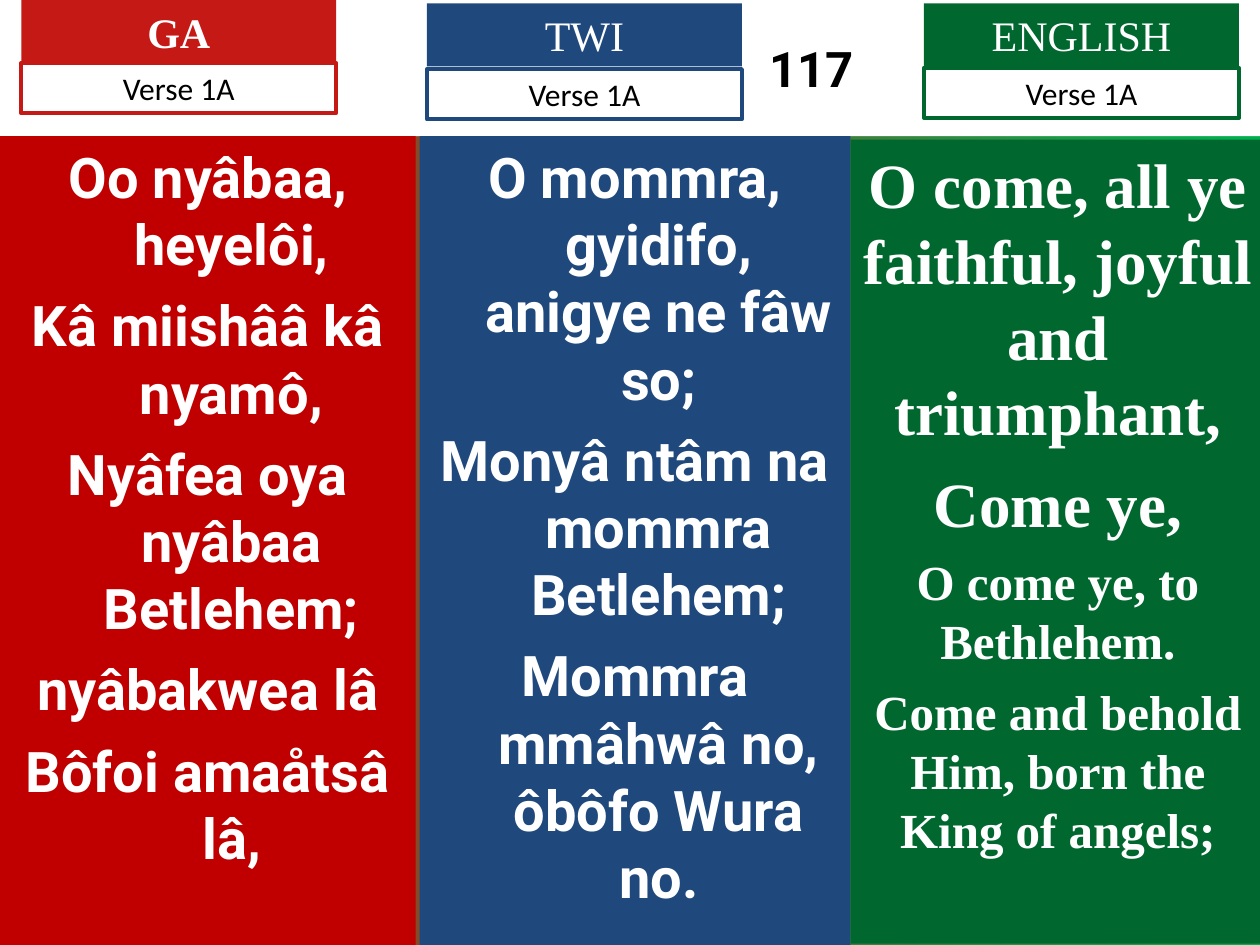
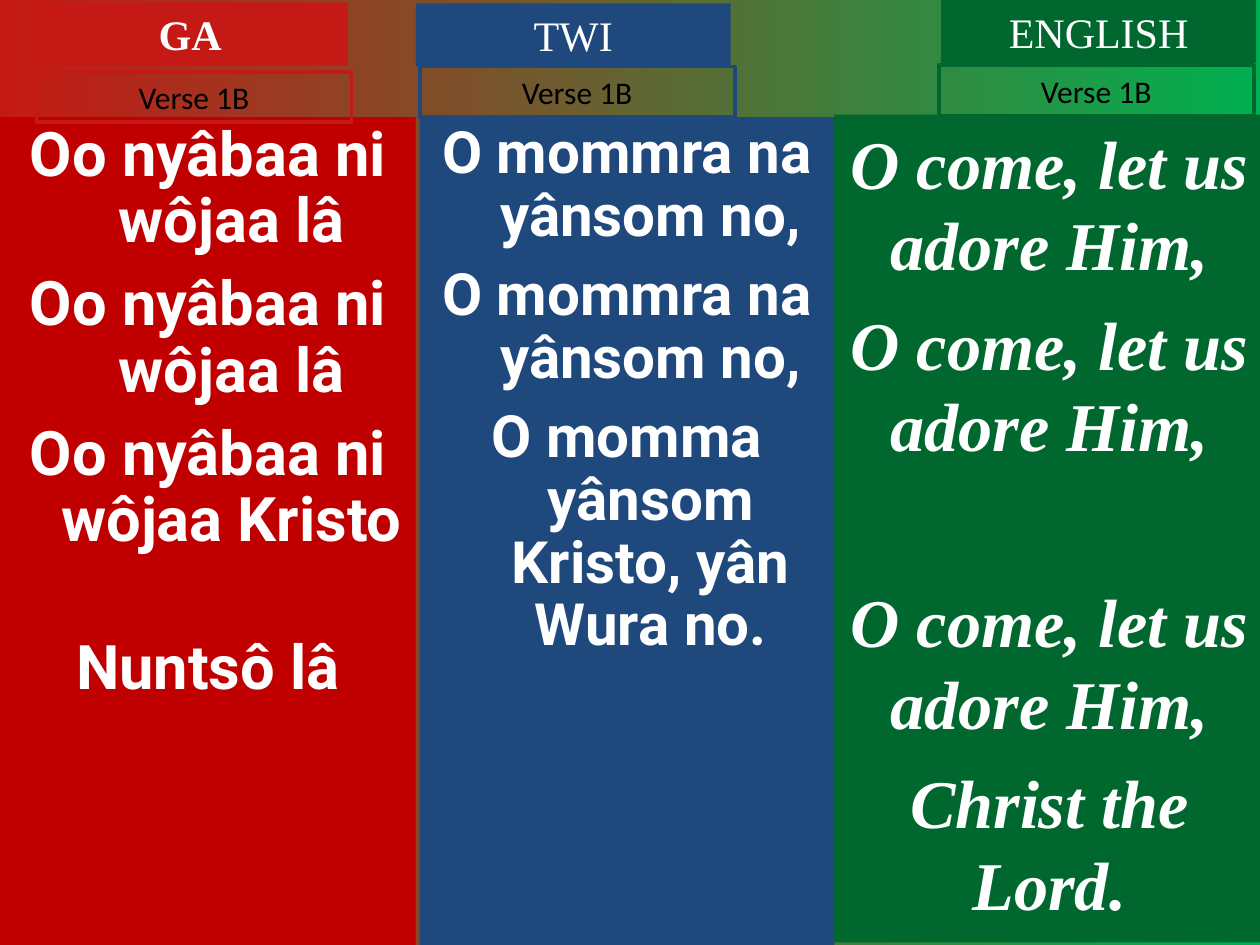
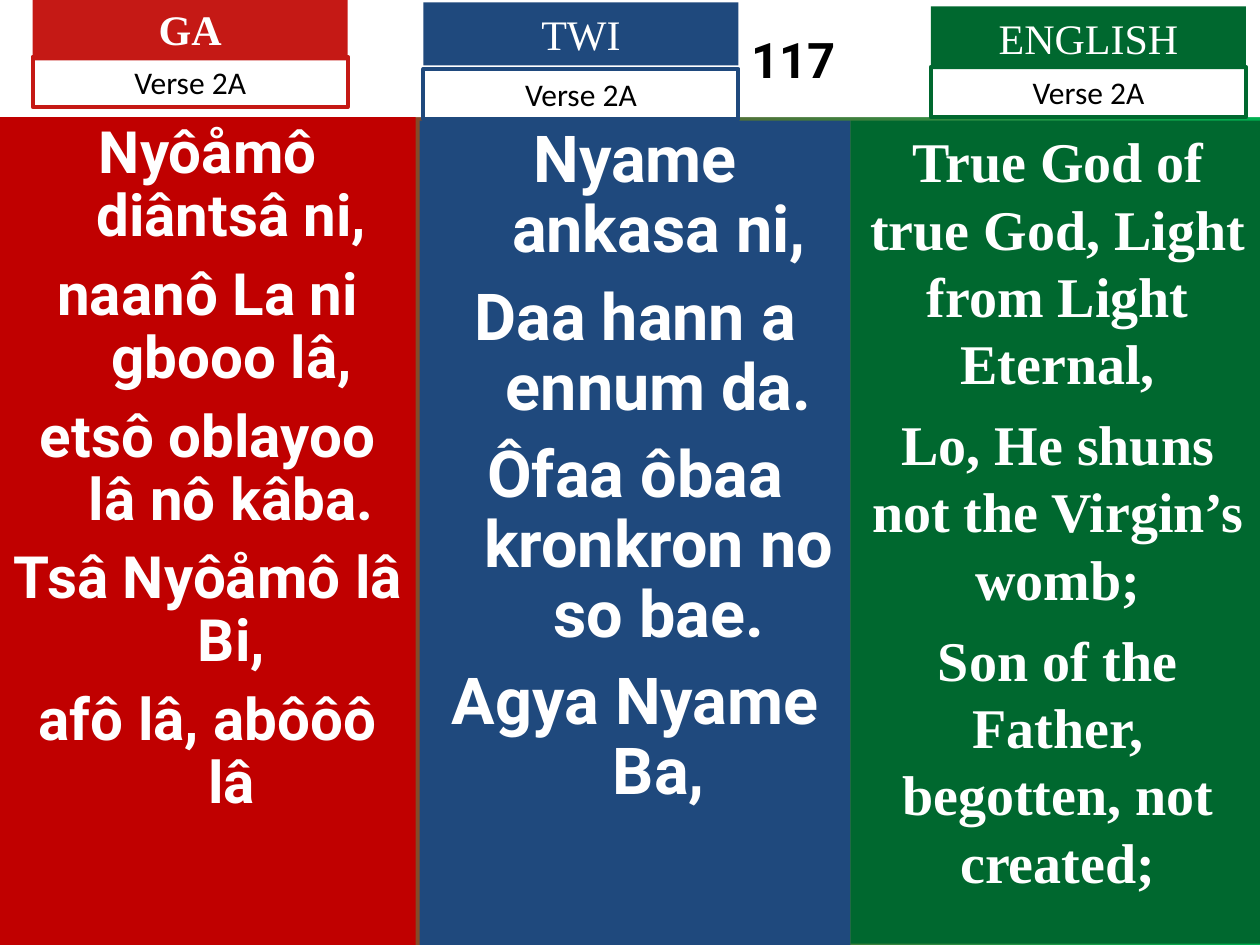
"""Build three trilingual hymn slides with Ga, Twi and English columns."""
import pptx
import pptx.dml.color
import pptx.enum.shapes
import pptx.enum.text
import pptx.util

Pt = pptx.util.Pt
RGBColor = pptx.dml.color.RGBColor
WHITE = RGBColor(0xFF, 0xFF, 0xFF)
BLACK = RGBColor(0x00, 0x00, 0x00)
RED = RGBColor(0xC5, 0x19, 0x15)
DARK_RED = RGBColor(0xC0, 0x00, 0x00)
BLUE = RGBColor(0x1F, 0x49, 0x7D)
GREEN = RGBColor(0x00, 0x68, 0x2F)
BRIGHT_GREEN = RGBColor(0x00, 0xB0, 0x50)
SERIF, SANS, PLAIN = "Times New Roman", "Roboto", "Calibri"
HANGING = Pt(27)
TAB_WIDTH, HEADING_HEIGHT, VERSE_HEIGHT = 180, 36, 28.8

LANGUAGES = [
    {"name": "GA", "colour": RED, "panel": DARK_RED, "font": SANS, "bold": True},
    {"name": "TWI", "colour": BLUE, "panel": BLUE, "font": SANS, "bold": False},
    {"name": "ENGLISH", "colour": GREEN, "panel": GREEN, "font": SERIF, "bold": False},
]

SLIDES = [
    {"verse": "Verse 1A", "band": (77.8, 215), "spacing": None, "italic": False, "columns": [
        {"heading": (12.2, 0), "verse": (12.2, 36), "panel": (0, 77.8, 237.6, 462.2), "lines": [
            ("Oo nyâbaa, heyelôi,", 32, 0),
            ("Kâ miishââ kâ nyamô,", 32, 8),
            ("Nyâfea oya nyâbaa Betlehem;", 32, 8),
            ("nyâbakwea lâ", 32, 8),
            ("Bôfoi amaåtsâ lâ,", 32, 8)]},
        {"heading": (244, 2), "verse": (244, 39.5), "panel": (239.8, 77.8, 246.2, 462.2), "lines": [
            ("O mommra, gyidifo, anigye ne fâw so;", 32, 0),
            ("Monyâ ntâm na mommra Betlehem;", 32, 8),
            ("Mommra mmâhwâ no, ôbôfo Wura no.", 32, 8)]},
        {"heading": (528, 2), "verse": (528, 38.7), "panel": (486, 79.8, 237, 459.4), "lines": [
            ("O come, all ye faithful, joyful and triumphant,", 36, 0),
            ("Come ye,", 36, 9),
            ("O come ye, to Bethlehem.", 28, 7),
            ("Come and behold Him, born the King of angels;", 28, 7)]},
    ]},
    {"verse": "Verse 1B", "band": None, "spacing": 0.9, "italic": True, "columns": [
        {"heading": (18.7, 1.4), "verse": (20.9, 41), "panel": (0, 67, 237.6, 473), "lines": [
            ("Oo nyâbaa ni wôjaa lâ", 35.1, 0),
            ("Oo nyâbaa ni wôjaa lâ", 35.1, 9.5),
            ("Oo nyâbaa ni wôjaa Kristo", 35.1, 9.5),
            ("Nuntsô lâ", 35.1, 47)]},
        {"heading": (237.6, 2), "verse": (239.8, 38), "panel": (239.8, 67, 237, 473), "lines": [
            ("O mommra na yânsom no,", 33.3, 0),
            ("O mommra na yânsom no,", 33.3, 9),
            ("O momma yânsom Kristo, yân Wura no.", 33.3, 9)]},
        {"heading": (537.8, 0), "verse": (536.4, 37.4), "panel": (476.6, 65.5, 246.2, 473), "lines": [
            ("O come, let us adore Him,", 39, 0),
            ("O come, let us adore Him,", 39, 9.8),
            ("O come, let us adore Him,", 39, 65),
            ("Christ the Lord.", 39, 9.8)]},
    ]},
    {"verse": "Verse 2A", "band": (67, 194.5), "spacing": 0.9, "italic": False, "columns": [
        {"heading": (18.7, -1.4), "verse": (18.7, 32.4), "panel": (0, 67, 237.6, 473), "lines": [
            ("Nyôåmô diântsâ ni,", 33.3, 0),
            ("naanô La ni gbooo lâ,", 33.3, 9),
            ("etsô oblayoo lâ nô kâba.", 33.3, 9),
            ("Tsâ Nyôåmô lâ Bi,", 33.3, 9),
            ("afô lâ, abôôô lâ", 33.3, 9)]},
        {"heading": (242, 1.4), "verse": (242, 39.5), "panel": (239.8, 69, 246.2, 471), "lines": [
            ("Nyame ankasa ni,", 37, 0),
            ("Daa hann a ennum da.", 37, 10),
            ("Ôfaa ôbaa kronkron no so bae.", 37, 10),
            ("Agya Nyame Ba,", 37, 10)]},
        {"heading": (532, 3.6), "verse": (532, 38.2), "panel": (486, 69, 237, 470.2), "lines": [
            ("True God of true God, Light from Light Eternal,", 32, 0),
            ("Lo, He shuns not the Virgin’s womb;", 32, 8),
            ("Son of the Father, begotten, not created;", 32, 8)]},
    ]},
]


def add_box(s, box, fill=None, line=None):
    """Add a top-anchored rectangle measured in points."""
    sp = s.shapes.add_shape(pptx.enum.shapes.MSO_SHAPE.RECTANGLE, *[Pt(v) for v in box])
    sp.shadow.inherit = False
    if fill is None:
        sp.fill.background()
    else:
        sp.fill.solid()
        sp.fill.fore_color.rgb = fill
    if line is None:
        sp.line.fill.background()
    else:
        sp.line.color.rgb = line
        sp.line.width = Pt(2.25)
    sp.text_frame.word_wrap = True
    sp.text_frame.vertical_anchor = pptx.enum.text.MSO_ANCHOR.TOP
    return sp


def write(p, text, font, size, colour, bold=False, italic=False):
    """Fill a centred paragraph with one formatted run."""
    p.text = text
    p.alignment = pptx.enum.text.PP_ALIGN.CENTER
    f = p.runs[0].font
    f.name, f.size, f.bold, f.italic = font, Pt(size), bold, italic
    f.color.rgb = colour


prs = pptx.Presentation()
prs.slide_width, prs.slide_height = Pt(720), Pt(540)

for page in SLIDES:
    s = prs.slides.add_slide(prs.slide_layouts[6])
    background = s.background.fill
    background.gradient()
    background.gradient_angle = 0
    for stop, colour in zip(background.gradient_stops, (RED, BRIGHT_GREEN)):
        stop.color.rgb = colour

    if page["band"]:
        band_height, number_inset = page["band"]
        sp = add_box(s, (0, 0, 720, band_height), WHITE)
        sp.text_frame.vertical_anchor = pptx.enum.text.MSO_ANCHOR.MIDDLE
        sp.text_frame.margin_left = Pt(number_inset)
        write(sp.text_frame.paragraphs[0], "117", SANS, 28, BLACK, True)

    for language, column in zip(LANGUAGES, page["columns"]):
        english = language["name"] == "ENGLISH"
        tf = add_box(s, column["panel"], language["panel"]).text_frame
        for i, (text, size, space) in enumerate(column["lines"]):
            p = tf.add_paragraph() if i else tf.paragraphs[0]
            write(p, text, language["font"], size, WHITE, True, english and page["italic"])
            p.space_before = Pt(space)
            if not english:
                p.line_spacing = page["spacing"]
                pPr = p._p.get_or_add_pPr()
                pPr.set("marL", str(HANGING))
                pPr.set("indent", str(-HANGING))

    for language, column in zip(LANGUAGES, page["columns"]):
        sp = add_box(s, (*column["heading"], TAB_WIDTH, HEADING_HEIGHT), language["colour"])
        write(sp.text_frame.paragraphs[0], language["name"], SERIF, 24, WHITE, language["bold"])
        sp = add_box(s, (*column["verse"], TAB_WIDTH, VERSE_HEIGHT), line=language["colour"])
        write(sp.text_frame.paragraphs[0], page["verse"], PLAIN, 18, BLACK)

prs.save("out.pptx")
